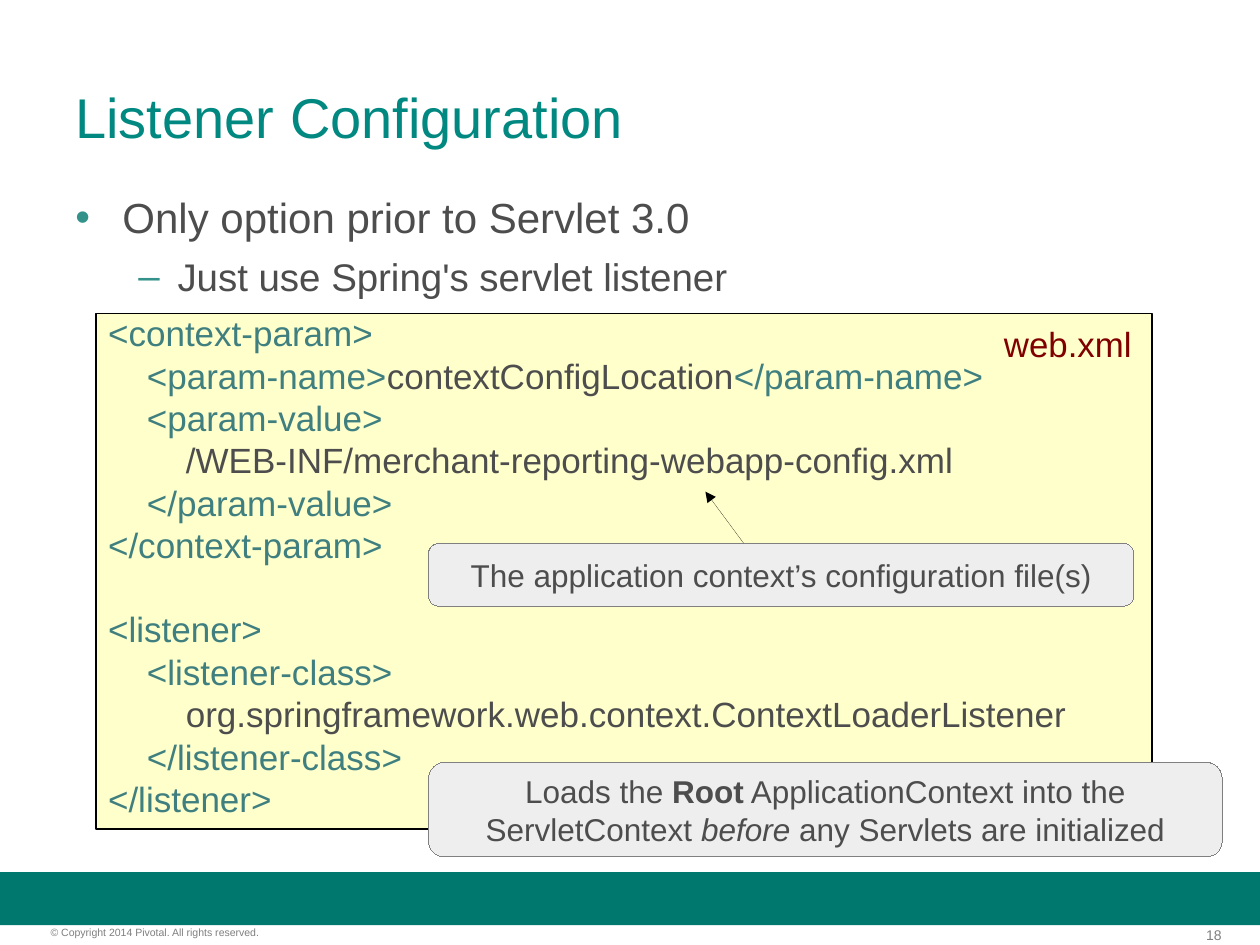
"""Build the Listener Configuration slide."""
from lxml import etree
from pptx import Presentation
from pptx import util as u
from pptx.dml.color import RGBColor
from pptx.enum import shapes, text
from pptx.oxml.ns import qn

TEAL, TAG, GREY, PALE = "008881", "3F7F7F", "4D4D4D", "7F7F7F"
LEFT, CENTER, RIGHT = text.PP_ALIGN.LEFT, text.PP_ALIGN.CENTER, text.PP_ALIGN.RIGHT
TOP, MIDDLE = text.MSO_ANCHOR.TOP, text.MSO_ANCHOR.MIDDLE


def rgb(code):
    return RGBColor.from_string(code)


def write(sp, paras, size, align=LEFT, anchor=TOP, inset=(0.25, 0.13)):
    tf = sp.text_frame
    tf.word_wrap = True
    tf.vertical_anchor = anchor
    tf.margin_left = tf.margin_right = u.Cm(inset[0])
    tf.margin_top = tf.margin_bottom = u.Cm(inset[1])
    for i, runs in enumerate(paras):
        p = tf.paragraphs[0] if i == 0 else tf.add_paragraph()
        p.alignment = align
        for words, color, *style in runs:
            r = p.add_run()
            r.text = words
            r.font.name = "Arial"
            r.font.size = u.Pt(size)
            r.font.color.rgb = rgb(color)
            r.font.bold = "b" in style
            r.font.italic = "i" in style
    return tf


prs = Presentation()
prs.slide_width, prs.slide_height = u.Cm(25.4), u.Cm(19.05)
s = prs.slides.add_slide(prs.slide_layouts[6])

boxes = {}
for name, kind, x, y, w, h, fill, line, width in [
    ("band", "RECTANGLE", 0, 17.58, 25.4, 1.07, "00786E", None, 0),
    ("code", "RECTANGLE", 1.93, 6.32, 21.29, 10.39, "FFFFCC", "000000", 1),
    ("loads", "ROUNDED_RECTANGLE", 8.64, 15.37, 16, 1.9, "EEEEEE", "808080", 0),
    ("files", "ROUNDED_RECTANGLE", 8.64, 10.95, 14.22, 1.27, "EEEEEE", "808080", 0),
]:
    sp = s.shapes.add_shape(shapes.MSO_SHAPE[kind], u.Cm(x), u.Cm(y), u.Cm(w), u.Cm(h))
    sp.shadow.inherit = False
    sp.fill.solid()
    sp.fill.fore_color.rgb = rgb(fill)
    if line:
        sp.line.color.rgb = rgb(line)
        sp._element.spPr.find(qn("a:ln")).set("w", str(u.Pt(width)))
    else:
        sp.line.fill.background()
    boxes[name] = sp

code = [
    [("<context-param>", TAG)],
    [("    <param-name>", TAG), ("contextConfigLocation", GREY), ("</param-name>", TAG)],
    [("    <param-value>", TAG)],
    [("        /WEB-INF/merchant-reporting-webapp-config.xml", GREY)],
    [("    </param-value>", TAG)],
    [("</context-param>", TAG)],
    [("<listener>", TAG)],
    [("    <listener-class>", TAG)],
    [("        org.springframework.web.context.ContextLoaderListener", GREY)],
    [("    </listener-class>", TAG)],
    [("</listener>", TAG)],
]
tf = write(boxes["code"], code, 20)
for i, p in enumerate(tf.paragraphs):
    p.line_spacing = 0.8
    if i:
        p.space_before = u.Pt(29 if p.text == "<listener>" else 5)

write(boxes["loads"], [[
    ("Loads the ", GREY), ("Root", GREY, "b"),
    (" ApplicationContext into the ServletContext ", GREY),
    ("before", GREY, "i"), (" any Servlets are initialized", GREY),
]], 18, CENTER, MIDDLE)
write(boxes["files"], [[("The application context’s configuration file(s)", GREY)]], 18, CENTER, MIDDLE)

for words, color, size, x, y, w, h, align, anchor, inset in [
    ("Listener Configuration", TEAL, 32, 1.27, 0.76, 22.86, 3.18, LEFT, MIDDLE, (0.25, 0.13)),
    ("web.xml", "800000", 19.9, 19.99, 6.38, 3.18, 1.09, LEFT, TOP, (0.25, 0.13)),
    ("© Copyright 2014 Pivotal. All rights reserved.", PALE, 6, 1.02, 18.67, 6.32, 0.25, LEFT, TOP, (0, 0)),
    ("18", PALE, 8, 23.16, 18.67, 1.47, 0.33, RIGHT, TOP, (0, 0)),
]:
    sp = s.shapes.add_textbox(u.Cm(x), u.Cm(y), u.Cm(w), u.Cm(h))
    write(sp, [[(words, color)]], size, align, anchor, inset)

sp = s.shapes.add_textbox(u.Cm(1.27), u.Cm(3.74), u.Cm(22.86), u.Cm(2.45))
tf = write(sp, [[("Only option prior to Servlet 3.0", GREY)],
                [("Just use Spring's servlet listener", GREY)]], 24)
for p, level, char, left, hang in zip(tf.paragraphs, (0, 1), "•–", (0.95, 2.06), (0.95, 0.79)):
    p.level = level
    pPr = p._p.get_or_add_pPr()
    pPr.set("marL", str(u.Cm(left)))
    pPr.set("indent", str(-u.Cm(hang)))
    clr = etree.SubElement(pPr, qn("a:buClr"))
    etree.SubElement(clr, qn("a:srgbClr"), val="33928A")
    etree.SubElement(pPr, qn("a:buFont"), typeface="Arial")
    etree.SubElement(pPr, qn("a:buChar"), char=char)
tf.paragraphs[1].space_before = u.Pt(6)
tf.paragraphs[1].runs[0].font.size = u.Pt(22)

arrow = s.shapes.add_connector(shapes.MSO_CONNECTOR.STRAIGHT, u.Cm(14.99), u.Cm(10.95), u.Cm(14.22), u.Cm(9.91))
arrow.line.color.rgb = rgb("000000")
ln = arrow._element.spPr.find(qn("a:ln"))
ln.set("w", "0")
etree.SubElement(ln, qn("a:tailEnd"), type="triangle")
etree.SubElement(arrow._element.spPr, qn("a:effectLst"))

prs.save("out.pptx")
